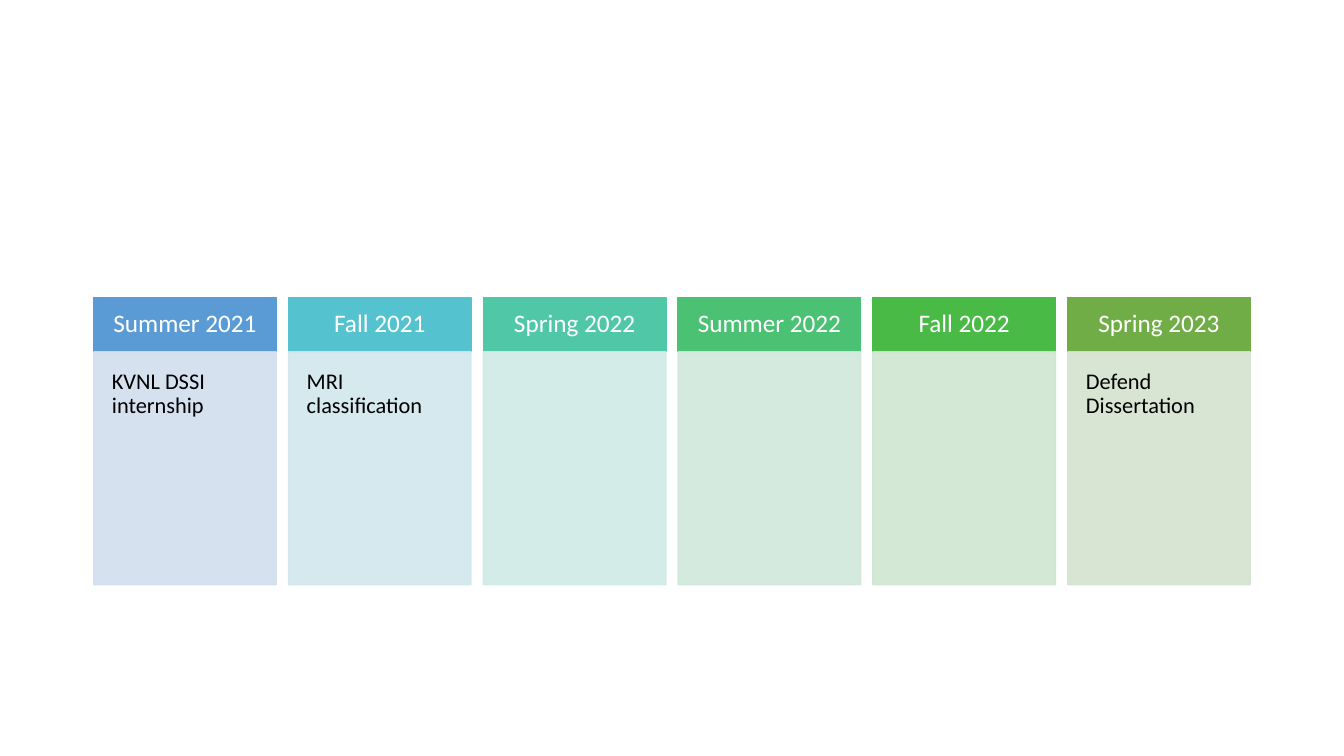
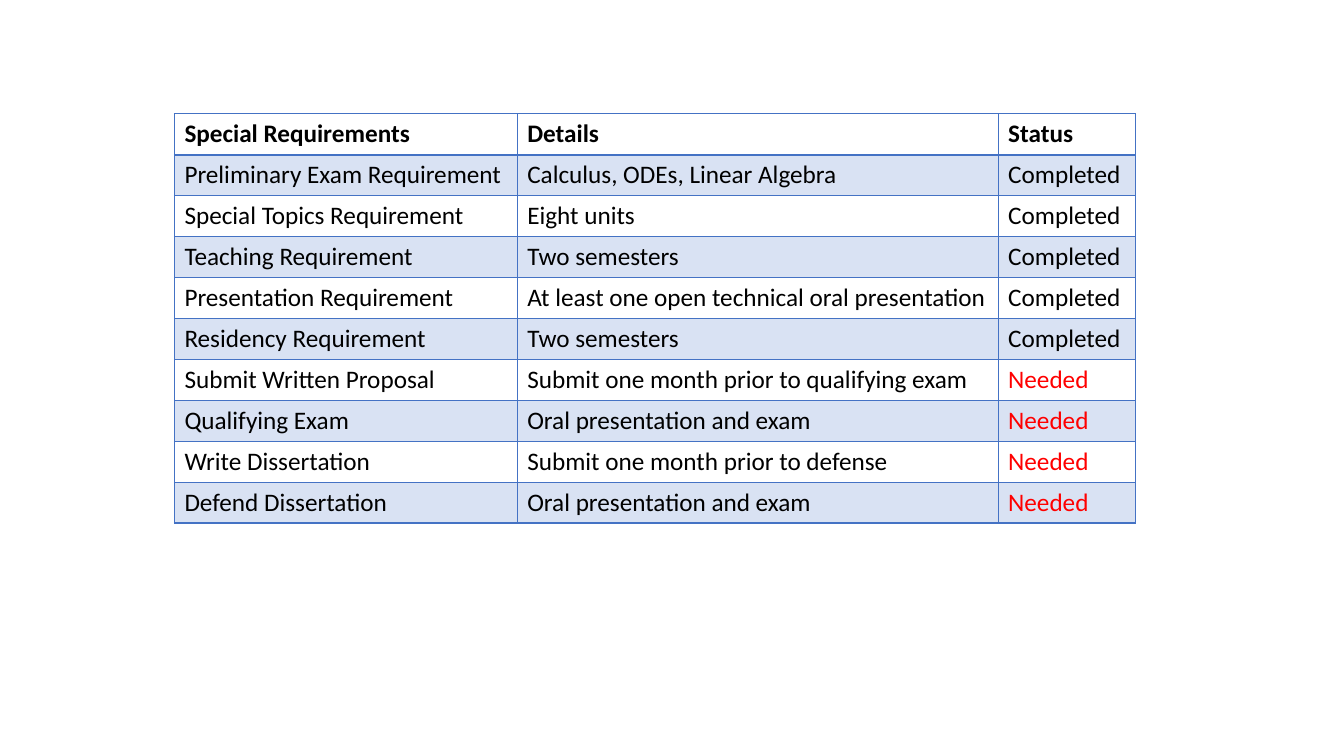
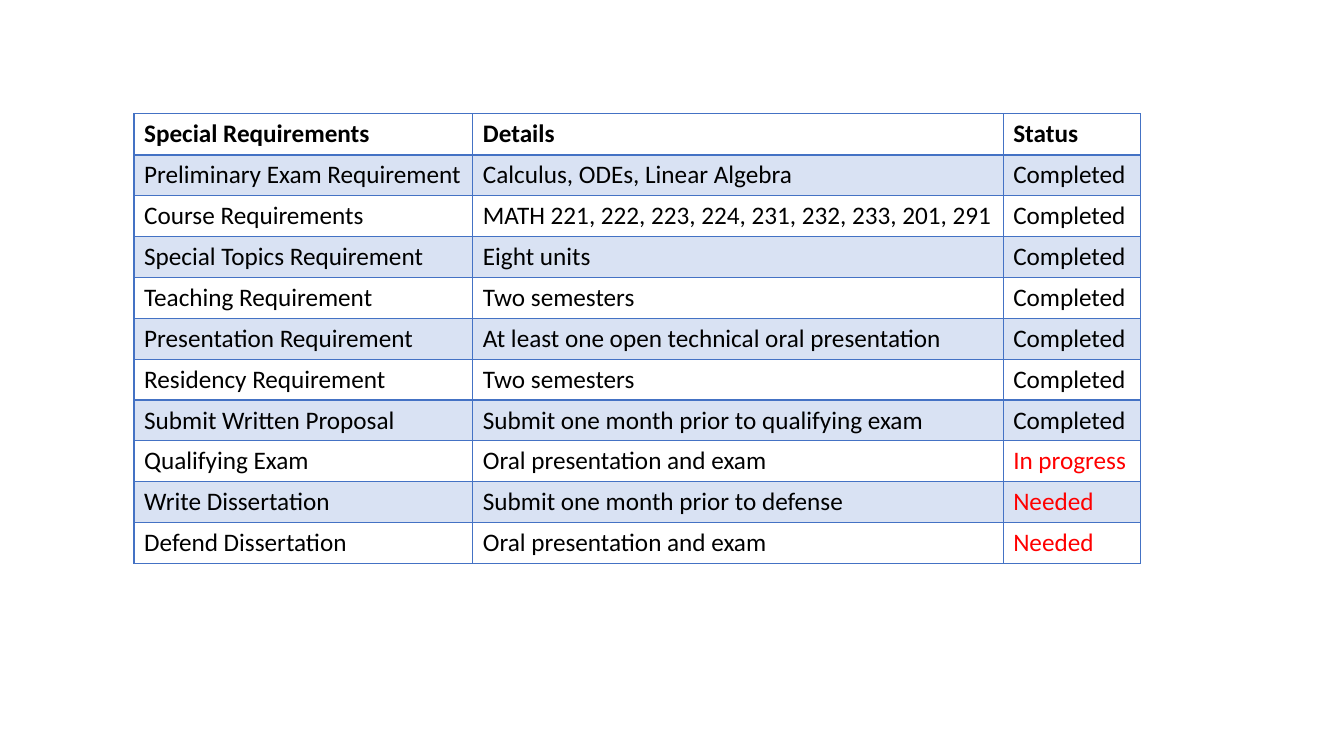
"""Build a dissertation timeline and two degree requirement tables."""

from dataclasses import dataclass

from lxml.etree import SubElement
from pptx import Presentation
from pptx.dml.color import RGBColor
from pptx.enum.shapes import MSO_SHAPE
from pptx.enum.text import MSO_ANCHOR, PP_ALIGN
from pptx.oxml.ns import qn
from pptx.shapes.autoshape import Shape
from pptx.slide import Slide
from pptx.table import _Cell as Cell
from pptx.text.text import _Paragraph as Paragraph
from pptx.util import Inches, Length, Pt

WHITE = RGBColor(0xFF, 0xFF, 0xFF)
BLACK = RGBColor(0x00, 0x00, 0x00)
RED = RGBColor(0xFF, 0x00, 0x00)
BLUE = RGBColor(0x44, 0x72, 0xC4)
FONT = "Calibri"

TERM_LEFT, TERM_TOP, TERM_WIDTH = Inches(0.93), Inches(2.95), Inches(1.81)
FIRST_TO_LAST_TERM = Inches(9.66)
HEADING_HEIGHT, PANEL_HEIGHT = Inches(0.54), Inches(2.31)
TABLE_TOP = Inches(1.13)
HEADER = ("Special Requirements", "Details", "Status")
DONE, NEEDED, IN_PROGRESS = "Completed", "Needed", "In progress"


@dataclass(frozen=True)
class Term:
    name: str
    heading_color: RGBColor
    panel_color: RGBColor
    goal: str = ""


@dataclass(frozen=True)
class Requirement:
    name: str
    details: str
    status: str


@dataclass(frozen=True)
class RequirementTable:
    left: Length
    height: Length
    widths: tuple[Length, ...]
    requirements: tuple[Requirement, ...]


TERMS = (
    Term("Summer 2021", RGBColor(0x5B, 0x9B, 0xD5), RGBColor(0xD2, 0xDE, 0xEF), "KVNL DSSI internship"),
    Term("Fall 2021", RGBColor(0x55, 0xC3, 0xCF), RGBColor(0xD1, 0xE7, 0xED), "MRI classification"),
    Term("Spring 2022", RGBColor(0x50, 0xC8, 0xA7), RGBColor(0xD0, 0xEB, 0xE6)),
    Term("Summer 2022", RGBColor(0x4B, 0xC1, 0x74), RGBColor(0xD0, 0xE8, 0xDB)),
    Term("Fall 2022", RGBColor(0x4A, 0xBA, 0x46), RGBColor(0xCF, 0xE6, 0xD1)),
    Term("Spring 2023", RGBColor(0x70, 0xAD, 0x47), RGBColor(0xD5, 0xE3, 0xCF), "Defend Dissertation"),
)

PRELIMINARY = Requirement("Preliminary Exam Requirement", "Calculus, ODEs, Linear Algebra", DONE)
COURSES = Requirement("Course Requirements", "MATH 221, 222, 223, 224, 231, 232, 233, 201, 291", DONE)
COURSEWORK = (
    Requirement("Special Topics Requirement", "Eight units", DONE),
    Requirement("Teaching Requirement", "Two semesters", DONE),
    Requirement("Presentation Requirement", "At least one open technical oral presentation", DONE),
    Requirement("Residency Requirement", "Two semesters", DONE),
)
DISSERTATION = (
    Requirement("Write Dissertation", "Submit one month prior to defense", NEEDED),
    Requirement("Defend Dissertation", "Oral presentation and exam", NEEDED),
)


def exam_steps(proposal_status: str, exam_status: str) -> tuple[Requirement, ...]:
    return (
        Requirement("Submit Written Proposal", "Submit one month prior to qualifying exam", proposal_status),
        Requirement("Qualifying Exam", "Oral presentation and exam", exam_status),
    )


TABLES = (
    RequirementTable(
        Inches(1.73), Inches(4.06), (Inches(3.4), Inches(4.77), Inches(1.36)),
        (PRELIMINARY, *COURSEWORK, *exam_steps(NEEDED, NEEDED), *DISSERTATION),
    ),
    RequirementTable(
        Inches(1.33), Inches(4.46), (Inches(3.36), Inches(5.26), Inches(1.36)),
        (PRELIMINARY, COURSES, *COURSEWORK, *exam_steps(DONE, IN_PROGRESS), *DISSERTATION),
    ),
)


def set_opacity(element, percent: int) -> None:
    for color in element.iter(qn("a:srgbClr")):
        SubElement(color, qn("a:alpha"), val=str(percent * 1000))


def style_font(paragraph: Paragraph, size: int, color: RGBColor, bold: bool = False) -> None:
    font = paragraph.font
    font.name, font.size, font.bold = FONT, Pt(size), bold
    font.color.rgb = color


def add_block(slide: Slide, left: int, top: int, height: int, color: RGBColor) -> Shape:
    block = slide.shapes.add_shape(MSO_SHAPE.RECTANGLE, left, top, TERM_WIDTH, height)
    block.shadow.inherit = False
    block.fill.solid()
    block.fill.fore_color.rgb = color
    block.line.color.rgb = color
    block.line.width = Pt(1)
    return block


def write_block(block: Shape, text: str, size: int, color: RGBColor,
                inset: Length, align: PP_ALIGN, anchor: MSO_ANCHOR) -> None:
    frame = block.text_frame
    frame.word_wrap = True
    frame.vertical_anchor = anchor
    frame.margin_left = frame.margin_right = frame.margin_top = frame.margin_bottom = inset
    paragraph = frame.paragraphs[0]
    paragraph.text = text
    paragraph.alignment = align
    paragraph.line_spacing = 0.9
    style_font(paragraph, size, color)


def draw_timeline(slide: Slide) -> None:
    pitch = FIRST_TO_LAST_TERM / (len(TERMS) - 1)
    for index, term in enumerate(TERMS):
        left = round(TERM_LEFT + index * pitch)
        heading = add_block(slide, left, TERM_TOP, HEADING_HEIGHT, term.heading_color)
        write_block(heading, term.name, 18, WHITE, Inches(0.14), PP_ALIGN.CENTER, MSO_ANCHOR.MIDDLE)
        panel = add_block(slide, left, TERM_TOP + HEADING_HEIGHT, PANEL_HEIGHT, term.panel_color)
        set_opacity(panel.element.spPr, 90)
        if term.goal:
            write_block(panel, term.goal, 16, BLACK, Inches(0.18), PP_ALIGN.LEFT, MSO_ANCHOR.TOP)


def set_borders(cell: Cell, row: int) -> None:
    properties = cell._tc.get_or_add_tcPr()
    thick_side = {0: "B", 1: "T"}.get(row)
    for side in "LRTB":
        width = Pt(2) if side == thick_side else Pt(1)
        line = SubElement(properties, qn(f"a:ln{side}"), w=str(width))
        fill = SubElement(line, qn("a:solidFill"))
        SubElement(fill, qn("a:srgbClr"), val=str(BLUE))


def fill_cell(cell: Cell, shaded: bool) -> None:
    if shaded:
        cell.fill.solid()
        cell.fill.fore_color.rgb = BLUE
        set_opacity(cell._tc.tcPr.find(qn("a:solidFill")), 20)
    else:
        cell.fill.background()


def draw_requirements(slide: Slide, content: RequirementTable) -> None:
    rows = (HEADER, *((item.name, item.details, item.status) for item in content.requirements))
    frame = slide.shapes.add_table(
        len(rows), len(HEADER), content.left, TABLE_TOP, sum(content.widths), content.height)
    table = frame.table
    table.first_row = table.horz_banding = False
    for column, width in zip(table.columns, content.widths):
        column.width = width
    for row, texts in enumerate(rows):
        for column, text in enumerate(texts):
            cell = table.cell(row, column)
            cell.text = text
            color = RED if text in (NEEDED, IN_PROGRESS) else BLACK
            style_font(cell.text_frame.paragraphs[0], 18, color, bold=row == 0)
            set_borders(cell, row)
            fill_cell(cell, shaded=row % 2 == 1)


def main() -> None:
    presentation = Presentation()
    presentation.slide_width, presentation.slide_height = Inches(13.33), Inches(7.5)
    blank = presentation.slide_layouts[6]
    draw_timeline(presentation.slides.add_slide(blank))
    for content in TABLES:
        draw_requirements(presentation.slides.add_slide(blank), content)
    presentation.save("out.pptx")


main()
